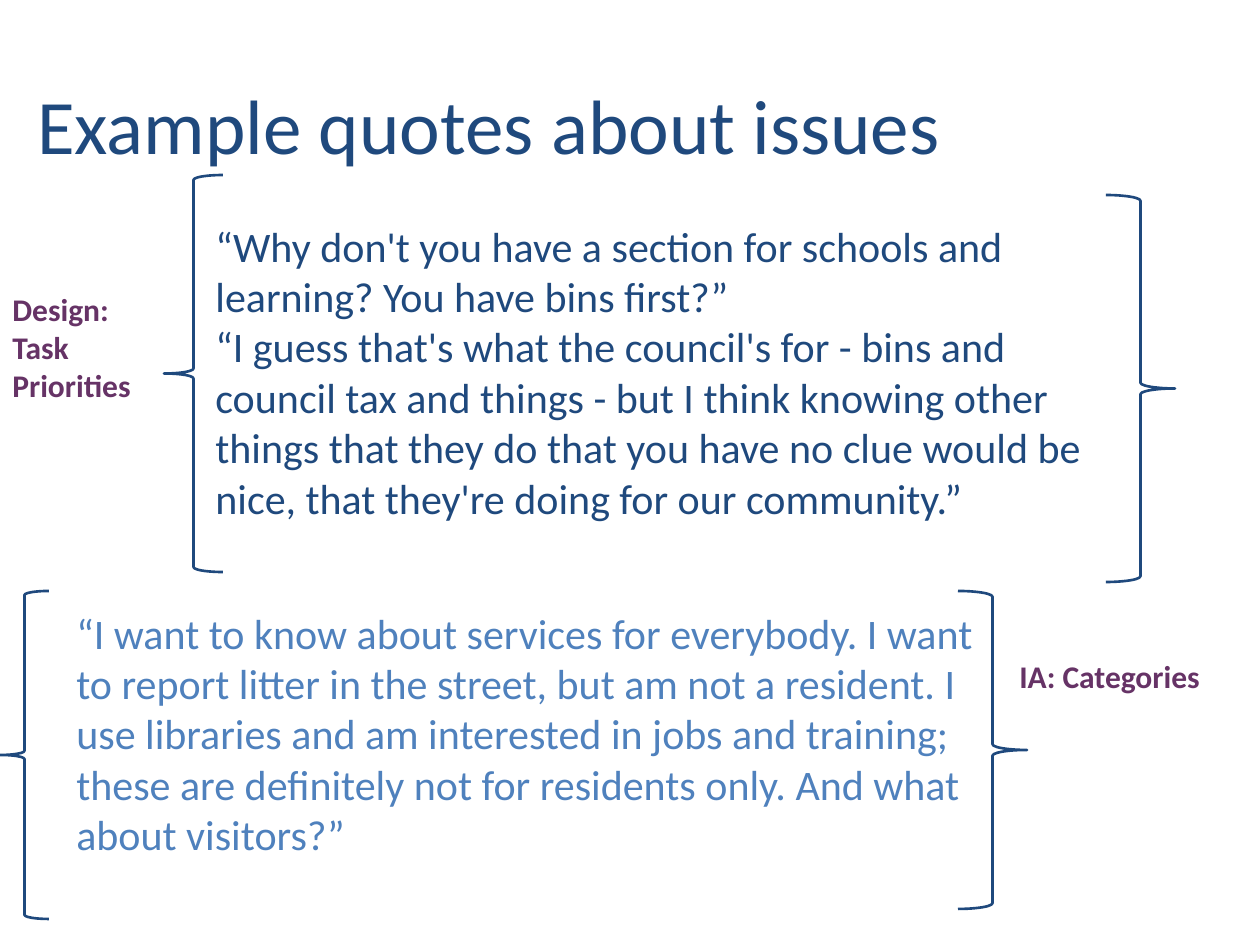
import pptx
import pptx.util
import pptx.dml.color
import pptx.enum.shapes
import pptx.enum.text

PX = 914400 // 126
NAVY, BLUE, PURPLE = "1F497D", "4F81BD", "663366"
LEFT = pptx.enum.shapes.MSO_SHAPE.LEFT_BRACE
RIGHT = pptx.enum.shapes.MSO_SHAPE.RIGHT_BRACE
TOP = pptx.enum.text.MSO_ANCHOR.TOP
MIDDLE = pptx.enum.text.MSO_ANCHOR.MIDDLE

QUOTES = [
    ((203, 214, 942, 369), NAVY, [
        "“Why don't you have a section for schools and learning? You have bins first?”",
        "“I guess that's what the council's for - bins and council tax and things - "
        "but I think knowing other things that they do that you have no clue would be "
        "nice, that they're doing for our community.”",
    ]),
    ((64, 601, 932, 318), BLUE, [
        "“I want to know about services for everybody. I want to report litter in the "
        "street, but am not a resident. I use libraries and am interested in jobs and "
        "training; these are definitely not for residents only. And what about visitors?”",
    ]),
]
BRACES = [
    (LEFT, (164, 175, 59, 397)),
    (LEFT, (0, 591, 49, 328)),
    (RIGHT, (1106, 195, 69, 387)),
    (RIGHT, (958, 591, 69, 318)),
]
LABELS = [
    ((0, 284, 174, 127), "Design: Task Priorities"),
    ((1007, 651, 208, 89), "IA: Categories"),
]
TITLE = ((25, 45, 1235, 158), "Example quotes about issues")


def color(value):
    return pptx.dml.color.RGBColor.from_string(value)


def place(bounds):
    return [length * PX for length in bounds]


def add_text(page, bounds, lines, size, ink, bold=False, anchor=TOP):
    frame = page.shapes.add_textbox(*place(bounds)).text_frame
    frame.word_wrap = True
    frame.vertical_anchor = anchor
    frame.text = "\n".join(lines)
    for para in frame.paragraphs:
        para.font.name = "Calibri"
        para.font.size = pptx.util.Pt(size)
        para.font.bold = bold
        para.font.color.rgb = color(ink)


def add_brace(page, kind, bounds):
    brace = page.shapes.add_shape(kind, *place(bounds))
    brace.shadow.inherit = False
    brace.fill.background()
    brace.line.color.rgb = color(NAVY)
    brace.line.width = pptx.util.Pt(1.5)


def main():
    deck = pptx.Presentation()
    deck.slide_width, deck.slide_height = 1260 * PX, 945 * PX
    page = deck.slides.add_slide(deck.slide_layouts[6])
    for bounds, ink, lines in QUOTES:
        add_text(page, bounds, lines, 24, ink)
    for kind, bounds in BRACES:
        add_brace(page, kind, bounds)
    for bounds, label in LABELS:
        add_text(page, bounds, [label], 18, PURPLE, bold=True)
    bounds, title = TITLE
    add_text(page, bounds, [title], 44, NAVY, anchor=MIDDLE)
    deck.save("out.pptx")


if __name__ == "__main__":
    main()
